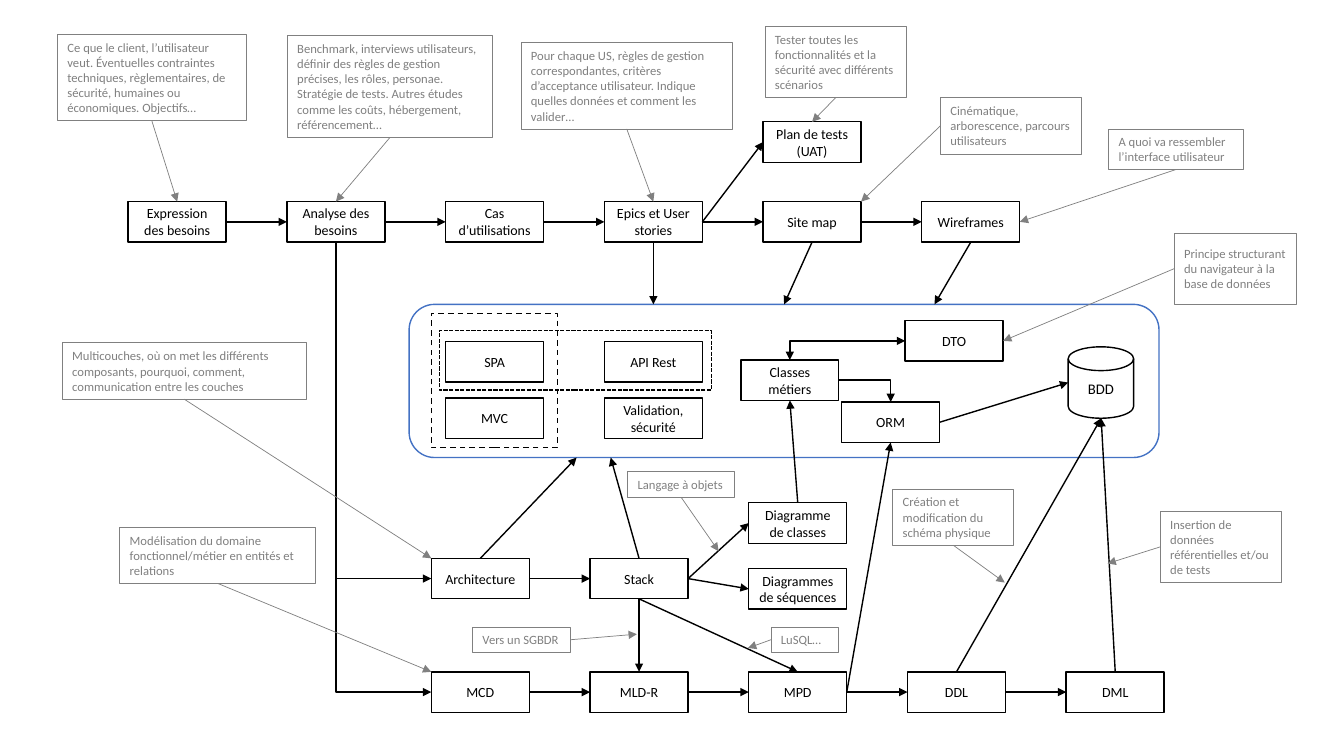
from itertools import pairwise

from lxml import etree
from pptx import Presentation
from pptx.dml.color import RGBColor
from pptx.enum.dml import MSO_LINE
from pptx.enum.shapes import MSO_CONNECTOR, MSO_SHAPE
from pptx.enum.text import MSO_ANCHOR, MSO_AUTO_SIZE, PP_ALIGN
from pptx.oxml.ns import qn
from pptx.util import Cm, Pt

RECT, ROUNDED = MSO_SHAPE.RECTANGLE, MSO_SHAPE.ROUNDED_RECTANGLE
DISK = MSO_SHAPE.FLOWCHART_MAGNETIC_DISK
STRAIGHT, ELBOW = MSO_CONNECTOR.STRAIGHT, MSO_CONNECTOR.ELBOW
DASH, SHORT_DASH = MSO_LINE.DASH, MSO_LINE.SQUARE_DOT
LEFT_ALIGN, CENTER, MIDDLE = PP_ALIGN.LEFT, PP_ALIGN.CENTER, MSO_ANCHOR.MIDDLE
GROW = MSO_AUTO_SIZE.SHAPE_TO_FIT_TEXT
TOP, LEFT, BOTTOM, RIGHT = range(4)
COLORS = {"ink": "000000", "paper": "FFFFFF", "note": "808080", "layer": "4472C4"}
STEP_W, STEP_H, PITCH = 2.47, 1.02, 4
UPPER_X, LOWER_X = 3.23, 10.87
NEEDS_Y, STACK_Y, DATA_Y = 5.08, 14.07, 16.93
LAYERS_TOP, LAYERS_H = 7.67, 3.86
LAYERS_BOTTOM = LAYERS_TOP + LAYERS_H


class Diagram:
    """Holds the style and the current slide."""

    def __init__(self, slide, font="Calibri"):
        """Start with a slide and an empty register of labelled shapes."""
        self.slide, self.font, self.labelled = slide, font, {}

    def color(self, name):
        """Return a named colour."""
        return RGBColor.from_string(COLORS[name])

    def outline(self, kind, bounds, line="ink", width=1, dash=None):
        """Draw an unfilled shape; bounds are left, top, width, height."""
        shape = self.slide.shapes.add_shape(kind, *map(Cm, bounds))
        shape.shadow.inherit = False
        shape.fill.background()
        shape.line.color.rgb = self.color(line)
        shape.line.width = Pt(width)
        if dash:
            shape.line.dash_style = dash
        return shape

    def label(self, shape, text, size, color, align):
        """Put text in a shape and register the shape under it."""
        frame = shape.text_frame
        frame.word_wrap = True
        frame.vertical_anchor = MIDDLE
        paragraph = frame.paragraphs[0]
        paragraph.text = text
        paragraph.alignment = align
        paragraph.font.name = self.font
        paragraph.font.size = Pt(size)
        paragraph.font.color.rgb = self.color(color)
        self.labelled[text] = shape

    def step(self, text, left, top, width=STEP_W, height=STEP_H, kind=RECT, size=10):
        """Draw a white box with a centred label."""
        shape = self.outline(kind, (left, top, width, height))
        shape.fill.solid()
        shape.fill.fore_color.rgb = self.color("paper")
        self.label(shape, text, size, "ink", CENTER)

    def note(self, text, bounds, side, target):
        """Draw a grey remark and its pointer."""
        shape = self.outline(RECT, bounds, "note", 0.5)
        self.label(shape, text, 9, "note", LEFT_ALIGN)
        shape.text_frame.auto_size = GROW
        self.arrow((text, side), target, color="note", width=0.5)

    def arrow(self, start, end, color="ink", width=1, heads=("tailEnd",), bent=False):
        """Join two anchors, each a (label, side) pair or an (x, y) point."""
        line = self.slide.shapes.add_connector(ELBOW if bent else STRAIGHT, 0, 0, 0, 0)
        if isinstance(start[0], str):
            line.begin_connect(self.labelled[start[0]], start[1])
        else:
            line.begin_x, line.begin_y = map(Cm, start)
        if isinstance(end[0], str):
            line.end_connect(self.labelled[end[0]], end[1])
        else:
            line.end_x, line.end_y = map(Cm, end)
        line.line.color.rgb = self.color(color)
        line.line.width = Pt(width)
        properties = line.line._get_or_add_ln().getparent()
        if bent:
            properties.find(qn("a:prstGeom")).set("prst", "bentConnector2")
        for head in heads:
            etree.SubElement(properties.find(qn("a:ln")), qn(f"a:{head}"), type="triangle")
        etree.SubElement(properties, qn("a:effectLst"))


def upper(column):
    """Left edge of a column of the needs grid."""
    return UPPER_X + PITCH * column


def lower(column):
    """Left edge of a column of the data grid."""
    return LOWER_X + PITCH * column


EPICS, PLAN = "Epics et User stories", "Plan de tests (UAT)"
ANALYSIS, CLASSES = "Analyse des besoins", "Classes métiers"
CLASS_DIAGRAM, SEQUENCES = "Diagramme de classes", "Diagrammes de séquences"
NEEDS = ["Expression des besoins", ANALYSIS, "Cas d’utilisations", EPICS,
         "Site map", "Wireframes"]
TOOLS = ["Architecture", "Stack"]
DATA = ["MCD", "MLD-R", "MPD", "DDL", "DML"]
CHAINS = [(NEEDS, upper, NEEDS_Y), (TOOLS, lower, STACK_Y), (DATA, lower, DATA_Y)]
OTHER_STEPS = [
    (PLAN, upper(4), 3.07),
    ("SPA", upper(2), 8.61), ("API Rest", upper(3), 8.61),
    ("MVC", upper(2), 10.03), ("Validation, sécurité", upper(3), 10.03),
    (CLASSES, 18.67, 9.07), ("ORM", 21.21, 10.13), ("DTO", 22.81, 8.08),
    (CLASS_DIAGRAM, lower(2), 12.67), (SEQUENCES, lower(2), 14.33),
]
BDD_LEFT, BDD_BOTTOM = (26.92, 9.64), (27.75, 10.54)
ARROWS = [
    ((EPICS, RIGHT), (PLAN, LEFT)),
    ((EPICS, BOTTOM), (upper(3) + STEP_W / 2, LAYERS_TOP)),
    (("Site map", BOTTOM), (19.76, LAYERS_TOP)),
    (("Wireframes", BOTTOM), (23.55, LAYERS_TOP)),
    (("Architecture", TOP), (14.53, LAYERS_BOTTOM)),
    (("Stack", TOP), (15.39, LAYERS_BOTTOM)),
    (("Stack", BOTTOM), ("MLD-R", TOP)),
    (("Stack", BOTTOM), ("MPD", TOP)),
    (("Stack", RIGHT), (CLASS_DIAGRAM, LEFT)),
    (("Stack", RIGHT), (SEQUENCES, LEFT)),
    ((CLASS_DIAGRAM, TOP), (CLASSES, BOTTOM)),
    (("MPD", RIGHT), ("ORM", BOTTOM)),
    (("ORM", RIGHT), BDD_LEFT),
    (("DDL", TOP), BDD_BOTTOM),
    (("DML", TOP), BDD_BOTTOM),
]
BENDS = [
    (("Architecture", LEFT), (ANALYSIS, BOTTOM), ["headEnd"]),
    (("MCD", LEFT), (ANALYSIS, BOTTOM), ["headEnd"]),
    ((CLASSES, RIGHT), ("ORM", TOP), ["tailEnd"]),
    (("DTO", LEFT), (CLASSES, TOP), ["headEnd", "tailEnd"]),
]
NOTES = [
    ("Ce que le client, l’utilisateur veut. Éventuelles contraintes techniques, "
     "règlementaires, de sécurité, humaines ou économiques. Objectifs…",
     (1.45, 0.86, 4.75, 2.18), BOTTOM, (NEEDS[0], TOP)),
    ("Benchmark, interviews utilisateurs, définir des règles de gestion précises, "
     "les rôles, personae. Stratégie de tests. Autres études comme les coûts, "
     "hébergement, référencement…", (7.24, 0.89, 5.18, 2.57), BOTTOM, (ANALYSIS, TOP)),
    ("Pour chaque US, règles de gestion correspondantes, critères d’acceptance "
     "utilisateur. Indique quelles données et comment les valider…",
     (13.13, 1.07, 5.33, 2.18), BOTTOM, (EPICS, TOP)),
    ("Tester toutes les fonctionnalités et la sécurité avec différents scénarios",
     (19.28, 0.66, 3.56, 1.8), BOTTOM, (PLAN, TOP)),
    ("Cinématique, arborescence, parcours utilisateurs",
     (23.7, 2.46, 3.56, 1.42), LEFT, (upper(4) + STEP_W, NEEDS_Y)),
    ("A quoi va ressembler l’interface utilisateur",
     (27.94, 3.25, 3.4, 1.02), BOTTOM, ("Wireframes", RIGHT)),
    ("Principe structurant du navigateur à la base de données",
     (29.59, 5.87, 3.07, 1.8), LEFT, ("DTO", RIGHT)),
    ("Multicouches, où on met les différents composants, pourquoi, comment, "
     "communication entre les couches",
     (1.57, 8.64, 6.15, 1.42), BOTTOM, (LOWER_X, STACK_Y)),
    ("Modélisation du domaine fonctionnel/métier en entités et relations",
     (3.02, 13.28, 4.93, 1.42), BOTTOM, (LOWER_X, DATA_Y)),
    ("Langage à objets", (15.82, 11.89, 2.69, 0.64), BOTTOM, (18.11, 13.89)),
    ("Vers un SGBDR", (11.91, 15.8, 2.47, 0.64), RIGHT, (16.05, 15.98)),
    ("LuSQL…", (19.43, 15.8, 1.7, 0.64), LEFT, (18.85, 16.33)),
    ("Création et modification du schéma physique",
     (22.5, 12.32, 3.05, 1.42), BOTTOM, (25.32, 14.68)),
    ("Insertion de données référentielles et/ou de tests",
     (29.24, 12.88, 3.05, 1.8), LEFT, (27.91, 14.2)),
]


def main():
    """Build the diagram and save it."""
    deck = Presentation()
    deck.slide_width, deck.slide_height = Cm(33.87), Cm(19.05)
    diagram = Diagram(deck.slides.add_slide(deck.slide_layouts[6]))
    for labels, column_x, top in CHAINS:
        for column, label in enumerate(labels):
            diagram.step(label, column_x(column), top)
        for before, after in pairwise(labels):
            diagram.arrow((before, RIGHT), (after, LEFT))
    for label, left, top in OTHER_STEPS:
        diagram.step(label, left, top)
    diagram.step("BDD", 26.92, 8.74, 1.65, 1.8, DISK, 10.5)
    diagram.outline(RECT, (LOWER_X, 7.9, 3.18, 3.38), dash=DASH)
    diagram.outline(RECT, (11.07, 8.33, 6.86, 1.5), dash=SHORT_DASH)
    diagram.outline(ROUNDED, (10.31, LAYERS_TOP, 18.9, LAYERS_H), "layer")
    for start, end in ARROWS:
        diagram.arrow(start, end)
    for start, end, heads in BENDS:
        diagram.arrow(start, end, heads=heads, bent=True)
    for remark in NOTES:
        diagram.note(*remark)
    deck.save("out.pptx")


main()
